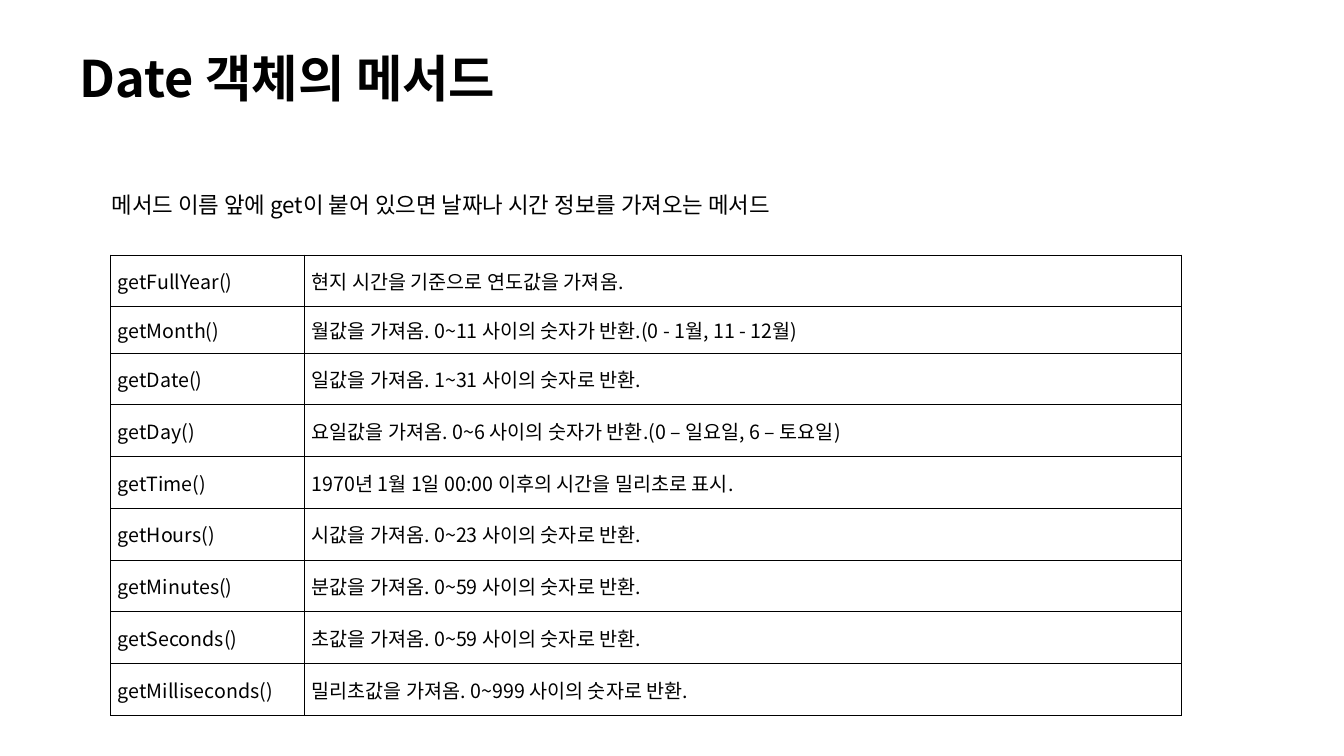
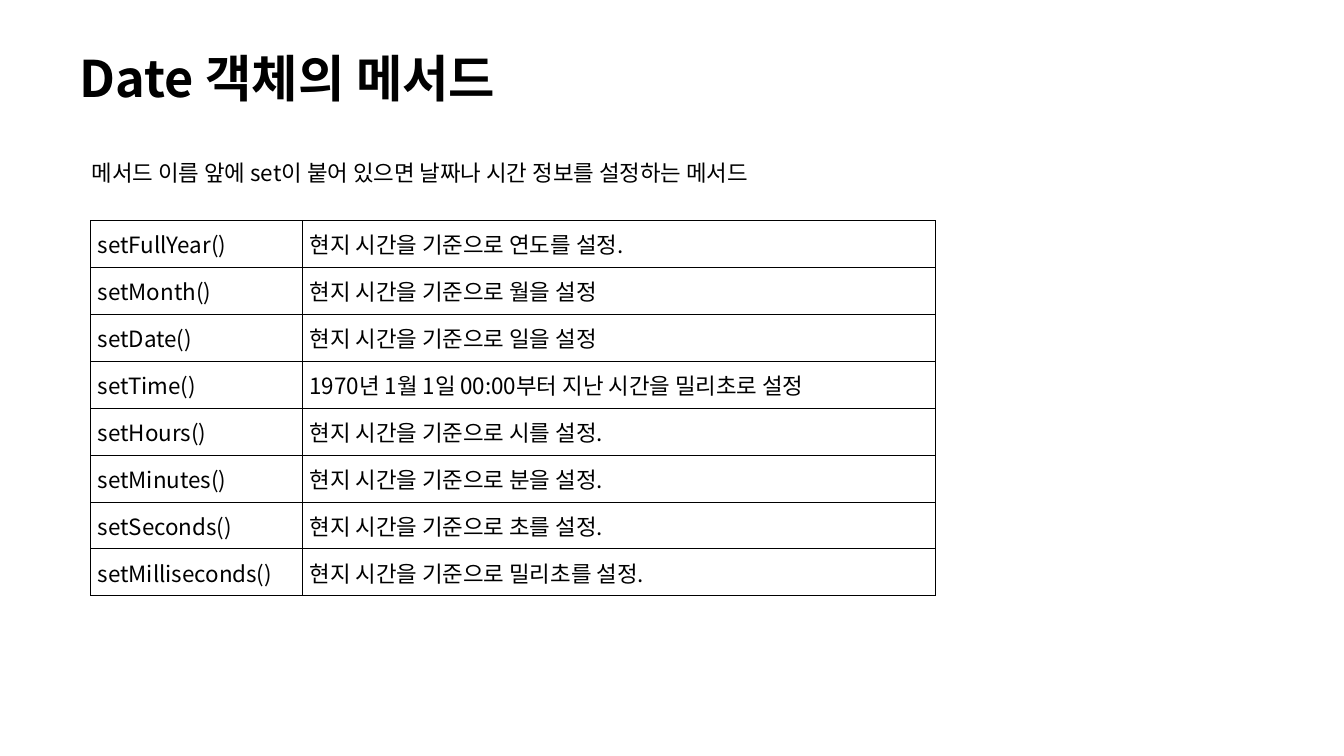
from lxml import etree
from pptx import Presentation
from pptx.dml.color import RGBColor
from pptx.enum.text import MSO_ANCHOR, PP_ALIGN
from pptx.oxml.ns import qn
from pptx.util import Inches, Pt

MIDDLE = MSO_ANCHOR.MIDDLE
LEFT = PP_ALIGN.LEFT
FONT = "Noto Sans CJK KR"
BLACK = "000000"
BORDER_PT = 0.75
TITLE = "Date 객체의 메서드"
TITLE_BOX = (0.69, 0.35, 9.74, 0.92)

# Each table gives its origin, column widths, total height and the rows
# whose height differs from the equal share of the rest.
SLIDES = [
    {
        "intro": "메서드 이름 앞에 get이 붙어 있으면 날짜나 시간 정보를 가져오는 메서드",
        "intro_at": (1.01, 1.85),
        "table_at": (1.1, 2.53),
        "columns": (1.92, 8.7),
        "height": 4.57,
        "fixed_rows": {1: 0.46},
        "size": 14,
        "methods": [
            ("getFullYear()", "현지 시간을 기준으로 연도값을 가져옴."),
            ("getMonth()", "월값을 가져옴. 0~11 사이의 숫자가 반환.(0 - 1월, 11 - 12월)"),
            ("getDate()", "일값을 가져옴. 1~31 사이의 숫자로 반환."),
            ("getDay()", "요일값을 가져옴. 0~6 사이의 숫자가 반환.(0 – 일요일, 6 – 토요일)"),
            ("getTime()", "1970년 1월 1일 00:00 이후의 시간을 밀리초로 표시."),
            ("getHours()", "시값을 가져옴. 0~23 사이의 숫자로 반환."),
            ("getMinutes()", "분값을 가져옴. 0~59 사이의 숫자로 반환."),
            ("getSeconds()", "초값을 가져옴. 0~59 사이의 숫자로 반환."),
            ("getMilliseconds()", "밀리초값을 가져옴. 0~999 사이의 숫자로 반환."),
        ],
    },
    {
        "intro": "메서드 이름 앞에 set이 붙어 있으면 날짜나 시간 정보를 설정하는 메서드",
        "intro_at": (0.81, 1.53),
        "table_at": (0.9, 2.19),
        "columns": (2.1, 6.28),
        "height": 3.72,
        "fixed_rows": {},
        "size": 16,
        "methods": [
            ("setFullYear()", "현지 시간을 기준으로 연도를 설정."),
            ("setMonth()", "현지 시간을 기준으로 월을 설정"),
            ("setDate()", "현지 시간을 기준으로 일을 설정"),
            ("setTime()", "1970년 1월 1일 00:00부터 지난 시간을 밀리초로 설정"),
            ("setHours()", "현지 시간을 기준으로 시를 설정."),
            ("setMinutes()", "현지 시간을 기준으로 분을 설정."),
            ("setSeconds()", "현지 시간을 기준으로 초를 설정."),
            ("setMilliseconds()", "현지 시간을 기준으로 밀리초를 설정."),
        ],
    },
]


def color(value):
    return RGBColor.from_string(value)


def write(tf, text, size, bold=False):
    """Fill a text frame with one left-aligned paragraph in the deck's font."""
    tf.text = text
    p = tf.paragraphs[0]
    p.alignment = LEFT
    for r in p.runs:
        r.font.name = FONT
        r.font.size = Pt(size)
        r.font.bold = bold
        r.font.color.rgb = color(BLACK)
        etree.SubElement(r.font._element, qn("a:ea"), typeface=FONT)
    return p


def add_borders(cell):
    tc_pr = cell._tc.get_or_add_tcPr()
    for side in ("lnL", "lnR", "lnT", "lnB"):
        ln = etree.SubElement(tc_pr, qn(f"a:{side}"), w=str(Pt(BORDER_PT)))
        fill = etree.SubElement(ln, qn("a:solidFill"))
        etree.SubElement(fill, qn("a:srgbClr"), val=BLACK)


def add_title(s):
    title = s.shapes.title
    title.left, title.top, title.width, title.height = map(Inches, TITLE_BOX)
    title.text_frame.vertical_anchor = MIDDLE
    write(title.text_frame, TITLE, 36, bold=True).line_spacing = 0.9


def add_intro(s, text, at):
    box = s.shapes.add_textbox(*map(Inches, (*at, 10.1, 0.37)))
    box.text_frame.word_wrap = True
    write(box.text_frame, text, 16)


def add_method_table(s, data):
    methods, columns, fixed = data["methods"], data["columns"], data["fixed_rows"]
    frame = s.shapes.add_table(
        len(methods), len(columns),
        *map(Inches, (*data["table_at"], sum(columns), data["height"])))
    table = frame.table
    table.first_row = table.horz_banding = False
    for column, width in zip(table.columns, columns):
        column.width = Inches(width)
    share = (data["height"] - sum(fixed.values())) / (len(methods) - len(fixed))
    for i, (row, texts) in enumerate(zip(table.rows, methods)):
        row.height = Inches(fixed.get(i, share))
        for cell, text in zip(row.cells, texts):
            cell.margin_left = cell.margin_right = Inches(0.07)
            cell.margin_top = cell.margin_bottom = 0
            cell.vertical_anchor = MIDDLE
            add_borders(cell)
            cell.fill.background()
            write(cell.text_frame, text, data["size"])


def main():
    prs = Presentation()
    prs.slide_width, prs.slide_height = Inches(13.33), Inches(7.5)
    title_only = prs.slide_layouts[5]
    for data in SLIDES:
        s = prs.slides.add_slide(title_only)
        add_title(s)
        add_intro(s, data["intro"], data["intro_at"])
        add_method_table(s, data)
    prs.save("out.pptx")


if __name__ == "__main__":
    main()
